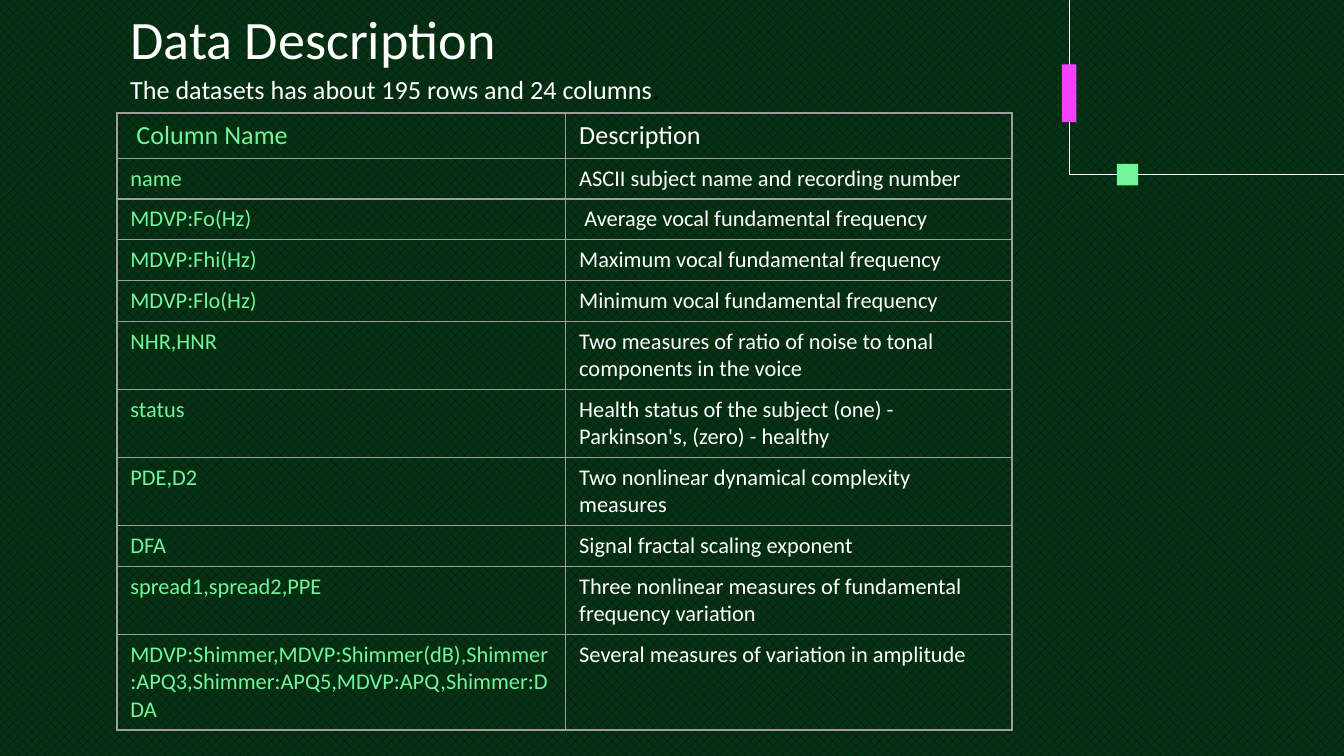
from lxml.etree import SubElement
from pptx import Presentation
from pptx.dml.color import RGBColor
from pptx.enum.dml import MSO_PATTERN
from pptx.enum.shapes import MSO_SHAPE
from pptx.enum.text import MSO_ANCHOR, MSO_AUTO_SIZE, PP_ALIGN
from pptx.oxml.ns import qn
from pptx.util import Inches, Pt

WHITE, GREEN, PINK, GREY, BLACK = "FFFFFF", "72F49A", "F341FF", "9E9E9E", "000000"
FONT = "Calibri"
TITLE = "Data Description"
SUBTITLE = "The datasets has about 195 rows and 24 columns"
ROWS = [
    (" Column Name", "Description"),
    ("name", "ASCII subject name and recording number"),
    ("MDVP:Fo(Hz)", " Average vocal fundamental frequency"),
    ("MDVP:Fhi(Hz)", "Maximum vocal fundamental frequency"),
    ("MDVP:Flo(Hz)", "Minimum vocal fundamental frequency"),
    ("NHR,HNR", "Two measures of ratio of noise to tonal components in the voice"),
    ("status", "Health status of the subject (one) - Parkinson's, (zero) - healthy"),
    ("PDE,D2", "Two nonlinear dynamical complexity measures"),
    ("DFA", "Signal fractal scaling exponent"),
    ("spread1,spread2,PPE", "Three nonlinear measures of fundamental frequency variation"),
    ("MDVP:Shimmer,MDVP:Shimmer(dB),Shimmer:APQ3,Shimmer:APQ5,MDVP:APQ,Shimmer:DDA",
     "Several measures of variation in amplitude"),
]
COLUMN_WIDTHS = (3.34, 3.32)
ROW_HEIGHT = 0.28
LEFT = 0.87
CORNER_LINE = [(12.28, 1.3), (7.96, 1.3), (7.96, -2.09)]
CORNER_BLOCKS = [((8.31, 1.22, 0.16, 0.16), GREEN), ((7.9, 0.48, 0.11, 0.43), PINK)]


def rgb(color):
    return RGBColor.from_string(color)


def add_text(frame, text, size=12, color=WHITE):
    """Append a run to the first paragraph of a text frame."""
    paragraph = frame.paragraphs[0]
    paragraph.alignment = PP_ALIGN.LEFT
    run = paragraph.add_run()
    run.text = text
    run.font.name = FONT
    run.font.size = Pt(size)
    run.font.color.rgb = rgb(color)


def place(shape, left, top, width, height):
    shape.left, shape.top = Inches(left), Inches(top)
    shape.width, shape.height = Inches(width), Inches(height)


def add_borders(cell, color, width):
    properties = cell._tc.get_or_add_tcPr()
    for index, side in enumerate(("lnL", "lnR", "lnT", "lnB")):
        line = SubElement(properties, qn(f"a:{side}"), w=str(Pt(width)))
        fill = SubElement(line, qn("a:solidFill"))
        SubElement(fill, qn("a:srgbClr"), val=color)
        properties.insert(index, line)


def add_title(slide):
    title = slide.shapes.title
    place(title, LEFT, 0.04, 8.44, 0.46)
    frame = title.text_frame
    frame.auto_size = MSO_AUTO_SIZE.NONE
    frame.vertical_anchor = MSO_ANCHOR.TOP
    frame.margin_top = 0
    frame.margin_left = frame.margin_right = frame.margin_bottom = Inches(0.1)
    add_text(frame, TITLE, size=29)


def add_corner(slide):
    group = slide.shapes.add_group_shape()
    points = [(Inches(x), Inches(y)) for x, y in CORNER_LINE]
    builder = group.shapes.build_freeform(*points[0])
    builder.add_line_segments(points[1:], close=False)
    bracket = builder.convert_to_shape()
    bracket.shadow.inherit = False
    bracket.fill.background()
    bracket.line.color.rgb = rgb(WHITE)
    bracket.line.width = Pt(0.75)
    for box, color in CORNER_BLOCKS:
        block = group.shapes.add_shape(MSO_SHAPE.RECTANGLE, *map(Inches, box))
        block.shadow.inherit = False
        block.fill.solid()
        block.fill.fore_color.rgb = rgb(color)
        block.line.fill.background()


def add_column_table(slide):
    table = slide.shapes.add_table(
        len(ROWS), len(COLUMN_WIDTHS), Inches(LEFT), Inches(0.84),
        Inches(sum(COLUMN_WIDTHS)), Inches(ROW_HEIGHT * len(ROWS))).table
    table.first_row = table.horz_banding = False
    for column, width in zip(table.columns, COLUMN_WIDTHS):
        column.width = Inches(width)
    for row_index, texts in enumerate(ROWS):
        table.rows[row_index].height = Inches(ROW_HEIGHT)
        for column_index, (text, color) in enumerate(zip(texts, (GREEN, WHITE))):
            cell = table.cell(row_index, column_index)
            cell.fill.background()
            add_borders(cell, GREY, 0.75)
            add_text(cell.text_frame, text, size=12 if row_index else 14, color=color)


def add_subtitle(slide):
    box = slide.shapes.add_textbox(Inches(LEFT), Inches(0.5), Inches(5.94), Inches(0.34))
    frame = box.text_frame
    frame.word_wrap = True
    frame.auto_size = MSO_AUTO_SIZE.SHAPE_TO_FIT_TEXT
    add_text(frame, SUBTITLE, size=14)
    add_text(frame, ".", size=14, color=BLACK)


def main():
    presentation = Presentation()
    presentation.slide_width = Inches(10)
    presentation.slide_height = presentation.slide_width * 9 // 16
    slide = presentation.slides.add_slide(presentation.slide_layouts[5])
    background = slide.background.fill
    background.patterned()
    background.pattern = MSO_PATTERN.PERCENT_50
    background.fore_color.rgb = rgb("0E0E0E")
    background.back_color.rgb = rgb("043212")
    add_title(slide)
    add_corner(slide)
    add_column_table(slide)
    add_subtitle(slide)
    presentation.save("out.pptx")


if __name__ == "__main__":
    main()
